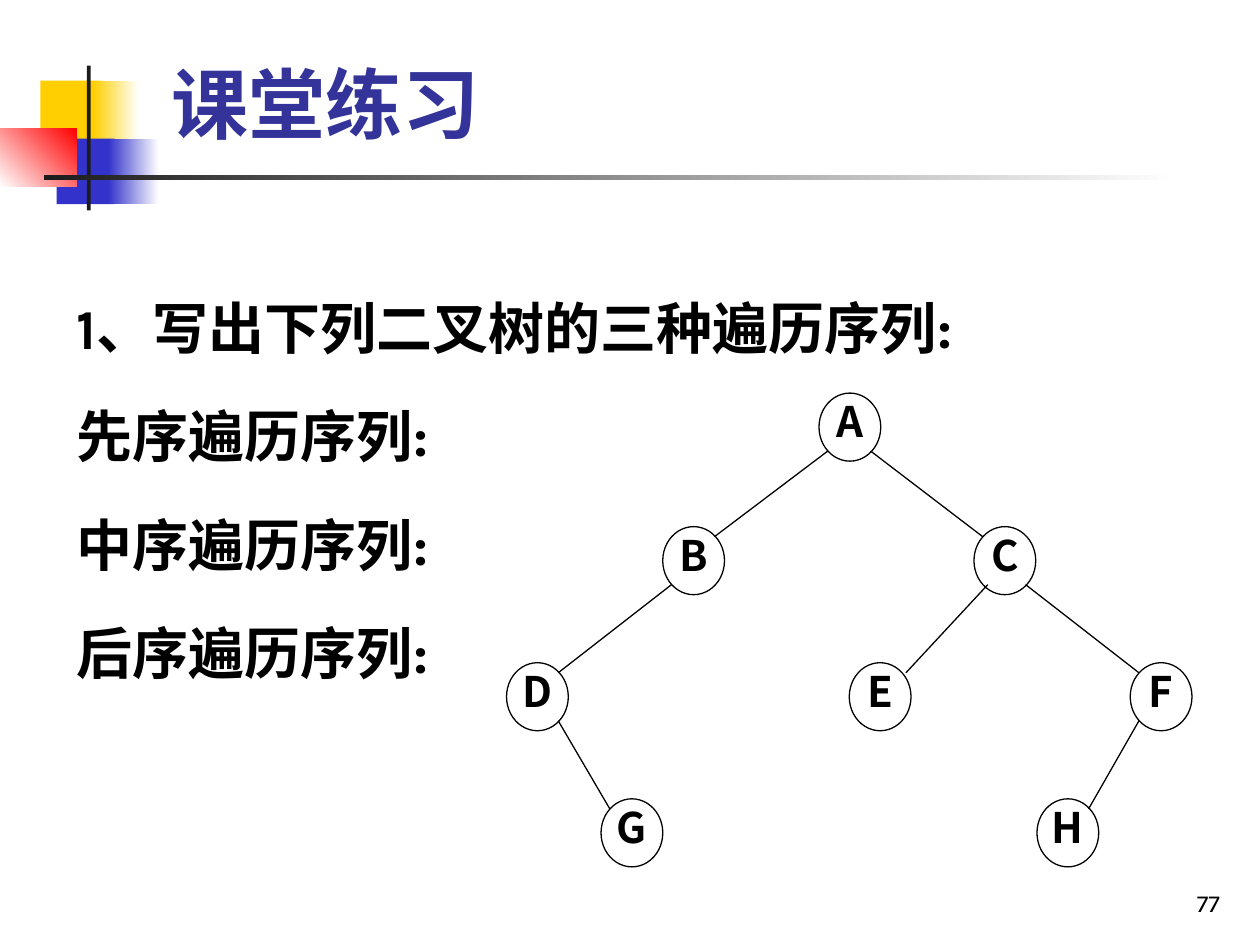
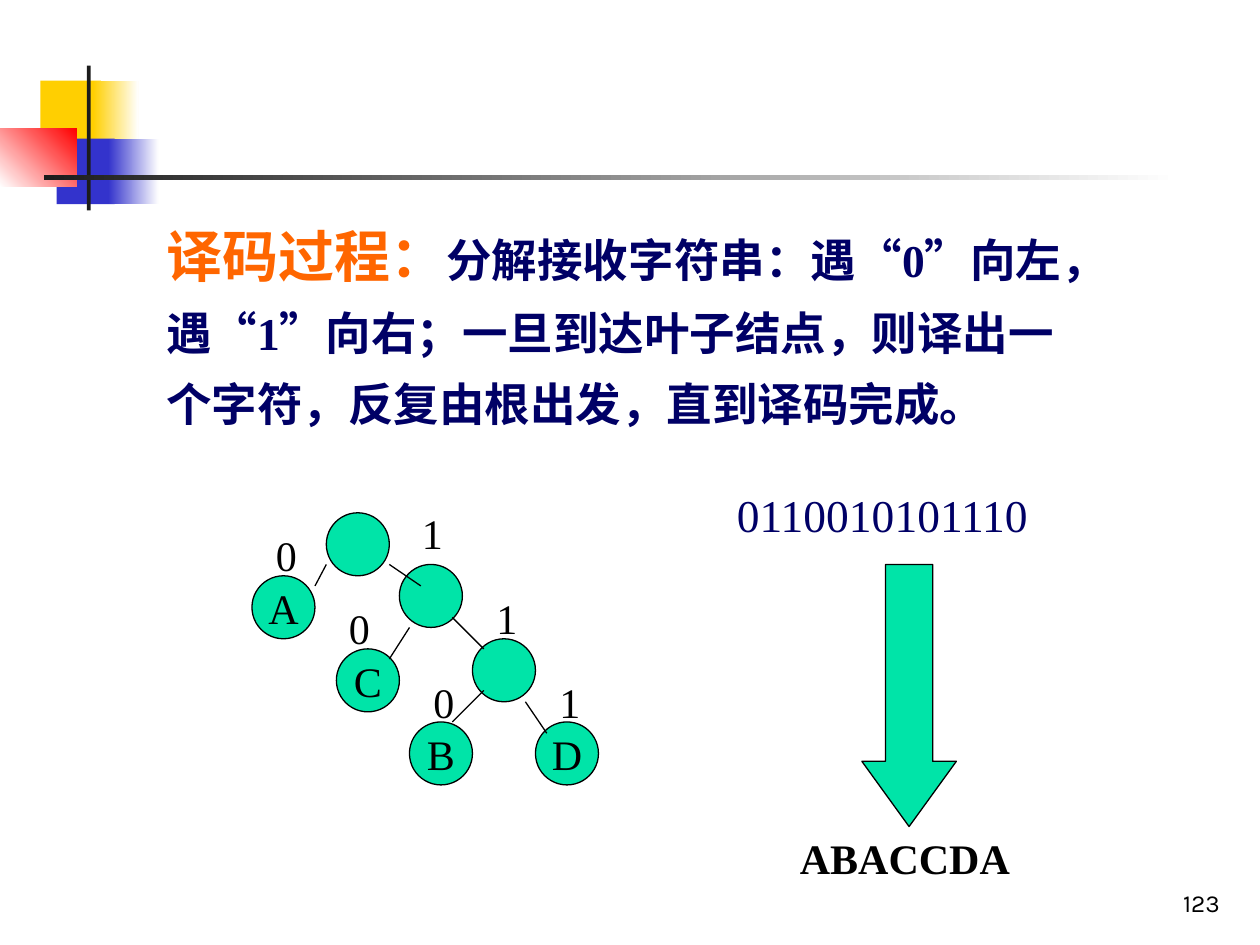
from lxml import etree
from pptx import Presentation
from pptx.dml.color import RGBColor
from pptx.enum.shapes import MSO_CONNECTOR, MSO_SHAPE
from pptx.enum.text import MSO_ANCHOR, MSO_AUTO_SIZE, PP_ALIGN
from pptx.oxml.ns import qn
from pptx.util import Emu, Pt

PX = 9144  # 100 px to the inch
RECTANGLE, OVAL, DOWN_ARROW = MSO_SHAPE.RECTANGLE, MSO_SHAPE.OVAL, MSO_SHAPE.DOWN_ARROW
STRAIGHT = MSO_CONNECTOR.STRAIGHT
TOP, MIDDLE, BOTTOM = MSO_ANCHOR.TOP, MSO_ANCHOR.MIDDLE, MSO_ANCHOR.BOTTOM
LEFT, CENTER, RIGHT = PP_ALIGN.LEFT, PP_ALIGN.CENTER, PP_ALIGN.RIGHT
TITLE_ONLY, BLANK = 5, 6

SANS, CHINESE, SERIF = "Karla", "Noto Sans CJK SC", "Times New Roman"
COLORS = {
    "white": "FFFFFF", "black": "000000", "bar": "1C1C1C",
    "yellow": "FFCF01", "blue": "3333CC", "red": "FF0000",
    "title": "333399", "navy": "000066", "orange": "FF6600", "green": "00E4A8",
}


def color(name):
    return RGBColor.from_string(COLORS[name])


def px(*lengths):
    return [Emu(length * PX) for length in lengths]


class Deck:
    def __init__(self):
        self.presentation = Presentation()
        self.presentation.slide_width, self.presentation.slide_height = px(1000, 750)
        self.slide = None

    def new_slide(self, number, title=None):
        layout = self.presentation.slide_layouts[TITLE_ONLY if title else BLANK]
        self.slide = self.presentation.slides.add_slide(layout)
        self.band()
        if title:
            self.title(title)
        self.text((770, 683, 208, 50), [number], 14, SANS, align=RIGHT,
                  anchor=BOTTOM, spacing=0.8)

    def band(self):
        """Draw the coloured squares and the two crossing bars."""
        self.shape(RECTANGLE, (32, 64, 48, 52), "yellow")
        self.fading((74, 64, 36, 52), "yellow", "white")
        self.shape(RECTANGLE, (45, 110, 46, 52), "blue")
        self.fading((86, 110, 40, 52), "blue", "white")
        self.fading((0, 102, 61, 46), "white", "red", angle=45)
        self.shape(RECTANGLE, (69, 52, 3, 115), "bar")
        self.fading((35, 139, 900, 4), "bar", "white")

    def title(self, text):
        title = self.slide.shapes.title
        title.left, title.top, title.width, title.height = px(126, 23, 852, 100)
        title.text_frame.auto_size = MSO_AUTO_SIZE.NONE
        self.fill_text(title.text_frame, [text], 44, SANS, "title", bold=True, anchor=BOTTOM)

    def shape(self, kind, box, fill=None, line=None):
        shape = self.slide.shapes.add_shape(kind, *px(*box))
        shape.shadow.inherit = False
        if fill:
            shape.fill.solid()
            shape.fill.fore_color.rgb = color(fill)
        else:
            shape.fill.background()
        if line:
            shape.line.color.rgb = color(line)
            shape.line.width = Pt(0.75)
        else:
            shape.line.fill.background()
        return shape

    def fading(self, box, start, end, angle=0):
        """Draw a rectangle with a two-colour gradient."""
        fill = self.shape(RECTANGLE, box).fill
        fill.gradient()
        fill.gradient_angle = angle
        for stop, name in zip(fill.gradient_stops, (start, end)):
            stop.color.rgb = color(name)

    def node(self, box, label, font=SERIF, fill=None, bold=False, spacing=None):
        circle = self.shape(OVAL, box, fill, "black")
        if label:
            self.fill_text(circle.text_frame, [label], 24, font, bold=bold, align=CENTER,
                           anchor=MIDDLE, spacing=spacing)
            circle.text_frame.word_wrap = False

    def line(self, start, end):
        connector = self.slide.shapes.add_connector(STRAIGHT, *px(*start, *end))
        connector.line.color.rgb = color("black")
        connector.line.width = Pt(0.75)
        etree.SubElement(connector.element.spPr, qn("a:effectLst"))

    def text(self, box, paragraphs, size, font, ink="black", **style):
        frame = self.slide.shapes.add_textbox(*px(*box)).text_frame
        self.fill_text(frame, paragraphs, size, font, ink, **style)
        return frame

    def fill_text(self, frame, texts, size, font, ink="black", bold=False,
                  align=LEFT, anchor=TOP, spacing=None):
        frame.word_wrap = True
        frame.vertical_anchor = anchor
        for index, text in enumerate(texts):
            paragraph = frame.add_paragraph() if index else frame.paragraphs[0]
            paragraph.text = text
            paragraph.alignment = align
            paragraph.line_spacing = spacing
            self.style(paragraph, paragraph.font, size, font, ink, bold)

    def style(self, paragraph, target, size, font, ink, bold):
        """Format a paragraph's or run's font, with the Chinese face beside it."""
        target.size, target.name, target.bold = Pt(size), font, bold
        target.color.rgb = color(ink)
        for latin in paragraph._p.iter(qn("a:latin")):
            if latin.getnext() is None:
                east_asian = etree.SubElement(latin.getparent(), qn("a:ea"))
                east_asian.set("typeface", CHINESE)


def exercise_slide(deck):
    deck.new_slide("77", "课堂练习")
    orders = [f"{order}序遍历序列:" for order in "先中后"]
    questions = deck.text((51, 178, 795, 409), ["1、写出下列二叉树的三种遍历序列:", *orders],
                          32, SANS, bold=True, spacing=Pt(62))
    questions.margin_top = Emu(22 * PX)

    width, height = 49, 54
    nodes = {"A": (650, 312), "B": (526, 418), "C": (773, 418), "D": (402, 526),
             "E": (674, 526), "F": (897, 526), "G": (477, 634), "H": (823, 634)}
    for label, corner in nodes.items():
        deck.node((*corner, width, height), label, CHINESE, bold=True, spacing=0.7)

    # Edges join facing points on the diagonals; C to E sits slightly to the right
    reach_x, reach_y = 17, 19
    for parent, child in ("AB", "AC", "BD", "CE", "CF", "DG", "FH"):
        (parent_x, parent_y), (child_x, child_y) = [
            (nodes[name][0] + width // 2, nodes[name][1] + height // 2)
            for name in (parent, child)]
        side = reach_x if child_x > parent_x else -reach_x
        shift = 4 if parent + child == "CE" else 0
        deck.line((parent_x + side + shift, parent_y + reach_y),
                  (child_x - side + shift, child_y - reach_y))


def decoding_slide(deck):
    deck.new_slide("123")
    frame = deck.text((122, 155, 733, 249), [""], 26, SERIF, spacing=1.3)
    paragraph = frame.paragraphs[0]
    for text, size, ink in (
            ("译码过程：", 32, "orange"),
            ("分解接收字符串：遇“0”向左，遇“1”向右；一旦到达叶子结点，"
             "则译出一个字符，反复由根出发，直到译码完成。", 26, "navy")):
        run = paragraph.add_run()
        run.text = text
        deck.style(paragraph, run.font, size, SERIF, ink, True)

    arrow = deck.shape(DOWN_ARROW, (684, 448, 75, 208), "green", "black")
    arrow.adjustments[0], arrow.adjustments[1] = 0.5, 0.69
    deck.text((575, 382, 275, 54), ["0110010101110"], 26, SERIF, "navy")
    deck.text((625, 656, 217, 50), ["ABACCDA"], 24, SERIF, bold=True)

    for x, y, label in ((259, 407, ""), (317, 448, ""), (375, 507, ""), (200, 457, "A"),
                        (267, 515, "C"), (325, 573, "B"), (425, 573, "D")):
        deck.node((x, y, 50, 50), label, fill="green")
    for start, end in (((259, 448), (250, 465)), ((309, 448), (334, 465)),
                       ((325, 498), (309, 523)), ((384, 548), (359, 573)),
                       ((417, 557), (434, 582)), ((359, 490), (384, 515))):
        deck.line(start, end)
    branch_labels = {"0": ((209, 415), (267, 473), (334, 532)),
                     "1": ((325, 398), (384, 465), (434, 532))}
    for bit, corners in branch_labels.items():
        for corner in corners:
            deck.text((*corner, 58, 50), [bit], 24, SERIF)


def main():
    deck = Deck()
    exercise_slide(deck)
    decoding_slide(deck)
    deck.presentation.save("out.pptx")


if __name__ == "__main__":
    main()
